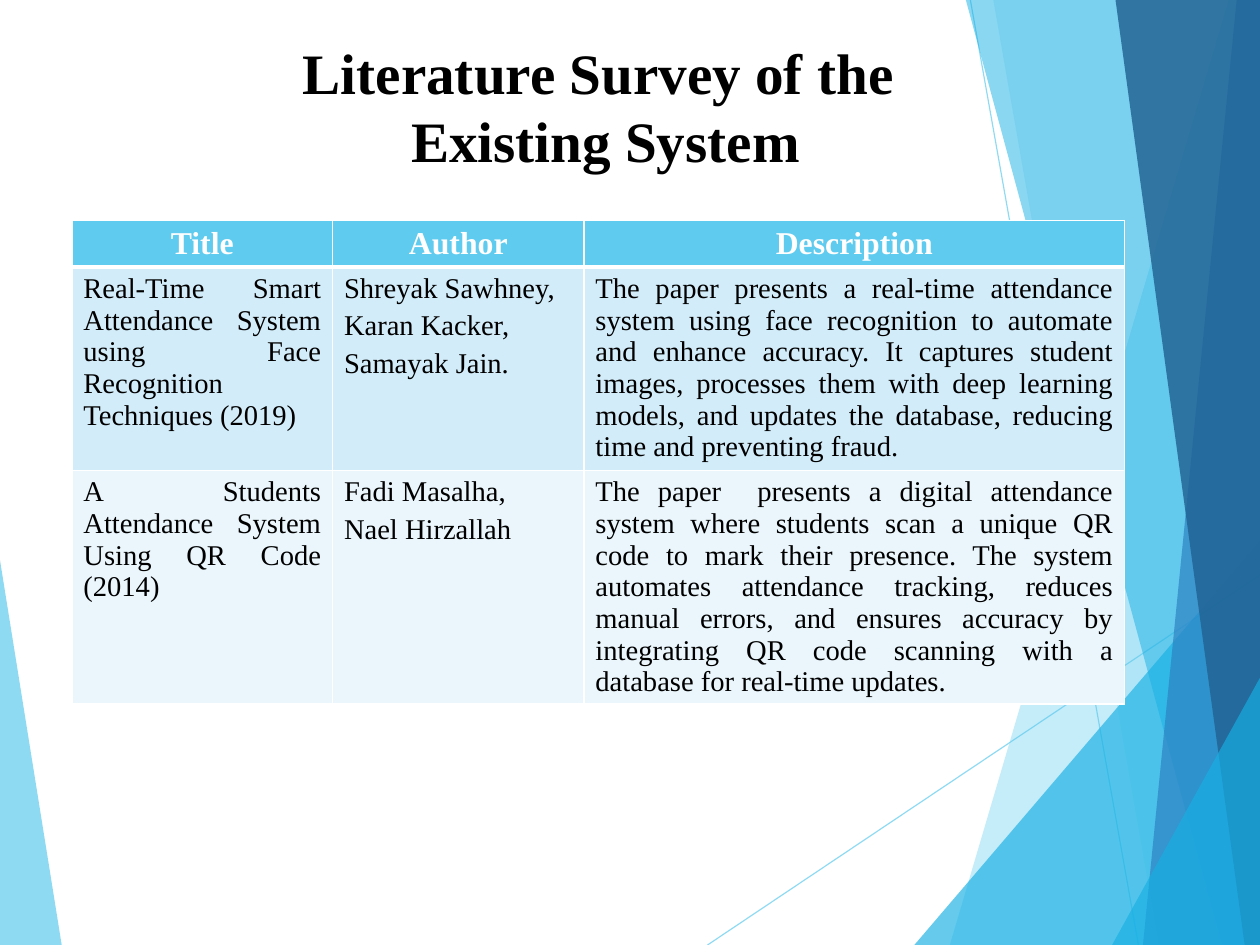
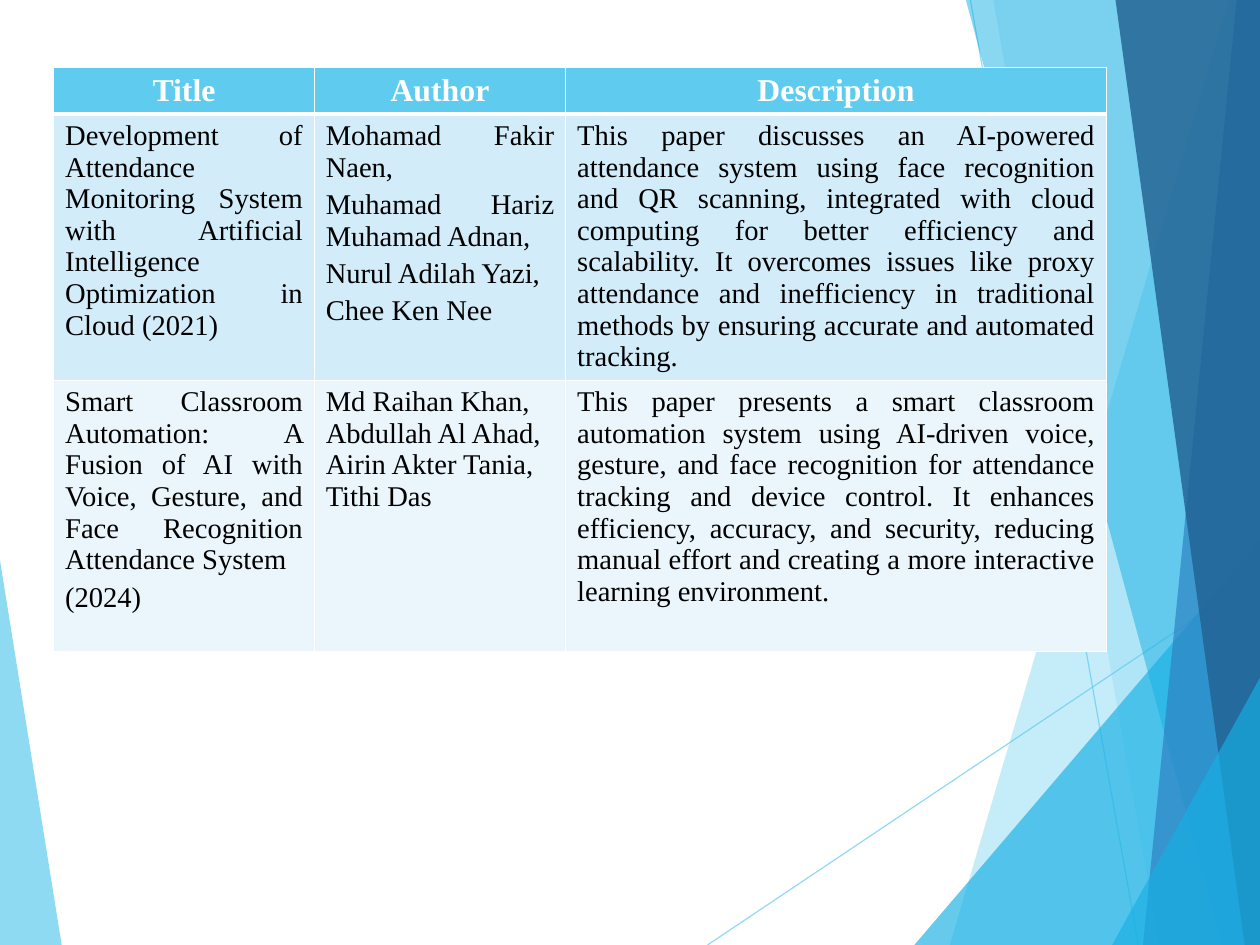
from pptx import Presentation
from pptx.dml.color import RGBColor
from pptx.enum.shapes import MSO_CONNECTOR
from pptx.enum.text import MSO_ANCHOR, PP_ALIGN
from pptx.oxml.ns import qn
from pptx.util import Inches, Pt
from lxml.etree import SubElement

CM_PER_INCH = 2.54
WIDTH, HEIGHT = 28 / CM_PER_INCH, 21 / CM_PER_INCH
FONT = "Times New Roman"
COLORS = {
    "sky": "5FCBEF",
    "cyan": "17B0E4",
    "blue": "2E83C3",
    "navy": "226292",
    "row_dark": "D2ECF9",
    "row_light": "EAF6FC",
    "white": "FFFFFF",
    "black": "000000",
}
RAYS = [((6.19, HEIGHT), (WIDTH, 5.03)), ((8.49, 0), (9.96, HEIGHT))]
LEFT_FACET = ("sky", 70, [(0, 4.9), (0.54, HEIGHT), (0, HEIGHT)])
RIGHT_FACETS = [
    ("sky", 36, [(10.75, 0), (8.31, HEIGHT), (WIDTH, HEIGHT), (WIDTH, 0)]),
    ("sky", 20, [(8.69, 0), (10.14, HEIGHT), (WIDTH, HEIGHT), (WIDTH, 0)]),
    ("cyan", 66, [(8, HEIGHT), (WIDTH, 4.73), (WIDTH, HEIGHT)]),
    ("cyan", 50, [(8.45, 0), (10.69, HEIGHT), (WIDTH, HEIGHT), (WIDTH, 0)]),
    ("blue", 70, [(10.82, 0), (10, HEIGHT), (WIDTH, HEIGHT), (WIDTH, 0)]),
    ("navy", 82, [(9.76, 0), (10.89, HEIGHT), (WIDTH, HEIGHT), (WIDTH, 0)]),
    ("cyan", 66, [(9.73, HEIGHT), (WIDTH, 5.93), (WIDTH, HEIGHT)]),
]
COLUMN_WIDTHS = [2.28, 2.2, 4.73]
HEADINGS = ["Title", "Author", "Description"]
EARLY_PAPERS = [
    [
        "Real-Time Smart Attendance System using Face Recognition Techniques (2019)",
        "Shreyak Sawhney,\nKaran Kacker,\nSamayak Jain.",
        "The paper presents a real-time attendance system using face recognition to "
        "automate and enhance accuracy. It captures student images, processes them with "
        "deep learning models, and updates the database, reducing time and preventing fraud.",
    ],
    [
        "A Students Attendance System Using QR Code (2014)",
        "Fadi Masalha,\nNael Hirzallah",
        "The paper  presents a digital attendance system where students scan a unique QR "
        "code to mark their presence. The system automates attendance tracking, reduces "
        "manual errors, and ensures accuracy by integrating QR code scanning with a "
        "database for real-time updates.",
    ],
]
RECENT_PAPERS = [
    [
        "Development of Attendance Monitoring System with Artificial Intelligence "
        "Optimization in Cloud (2021)",
        "Mohamad Fakir Naen,\nMuhamad Hariz Muhamad Adnan,\nNurul Adilah Yazi,\nChee Ken Nee",
        "This paper discusses an AI-powered attendance system using face recognition and "
        "QR scanning, integrated with cloud computing for better efficiency and "
        "scalability. It overcomes issues like proxy attendance and inefficiency in "
        "traditional methods by ensuring accurate and automated tracking.",
    ],
    [
        "Smart Classroom Automation: A Fusion of AI with Voice, Gesture, and Face "
        "Recognition Attendance System\n(2024)",
        "Md Raihan Khan,\nAbdullah Al Ahad,\nAirin Akter Tania,\nTithi Das",
        "This paper presents a smart classroom automation system using AI-driven voice, "
        "gesture, and face recognition for attendance tracking and device control. It "
        "enhances efficiency, accuracy, and security, reducing manual effort and creating "
        "a more interactive learning environment.",
    ],
]


def rgb(name):
    return RGBColor.from_string(COLORS[name])


def set_opacity(shape, percent):
    for color in shape.element.spPr.iter(qn("a:srgbClr")):
        SubElement(color, qn("a:alpha"), val=str(percent * 1000))


def add_facet(slide, color, opacity, corners):
    points = [(Inches(x), Inches(y)) for x, y in corners]
    outline = slide.shapes.build_freeform(*points[0])
    outline.add_line_segments(points[1:], close=True)
    facet = outline.convert_to_shape()
    facet.shadow.inherit = False
    facet.fill.solid()
    facet.fill.fore_color.rgb = rgb(color)
    facet.line.fill.background()
    set_opacity(facet, opacity)


def add_ray(slide, start, end):
    ends = [Inches(value) for value in (*start, *end)]
    ray = slide.shapes.add_connector(MSO_CONNECTOR.STRAIGHT, *ends)
    ray.line.color.rgb = rgb("sky")
    ray.line.width = Pt(0.75)
    set_opacity(ray, 70)
    SubElement(ray.element.spPr, qn("a:effectLst"))


def add_backdrop(slide):
    add_facet(slide, *LEFT_FACET)
    for start, end in RAYS:
        add_ray(slide, start, end)
    for facet in RIGHT_FACETS:
        add_facet(slide, *facet)


def style_paragraph(paragraph, size, color, bold, alignment):
    paragraph.alignment = alignment
    paragraph.font.name = FONT
    paragraph.font.size = Pt(size)
    paragraph.font.bold = bold
    paragraph.font.color.rgb = rgb(color)


def add_title(slide, text):
    title = slide.shapes.add_textbox(Inches(1.47), Inches(0.27), Inches(7.53), Inches(1.31))
    frame = title.text_frame
    frame.word_wrap = True
    frame.vertical_anchor = MSO_ANCHOR.MIDDLE
    frame.text = text
    for paragraph in frame.paragraphs:
        style_paragraph(paragraph, 36, "black", True, PP_ALIGN.CENTER)


def set_borders(cell, top, bottom):
    properties = cell._tc.get_or_add_tcPr()
    for index, (side, width) in enumerate(zip("LRTB", (1, 1, top, bottom))):
        border = SubElement(properties, qn(f"a:ln{side}"), w=str(Pt(width)))
        fill = SubElement(border, qn("a:solidFill"))
        SubElement(fill, qn("a:srgbClr"), val=COLORS["white"])
        properties.insert(index, border)


def fill_cell(cell, text, row, listed):
    cell.fill.solid()
    cell.fill.fore_color.rgb = rgb(("sky", "row_dark", "row_light")[row])
    set_borders(cell, top=3 if row == 1 else 1, bottom=3 if row == 0 else 1)
    cell.text = text
    for index, paragraph in enumerate(cell.text_frame.paragraphs):
        if row == 0:
            style_paragraph(paragraph, 20, "white", True, PP_ALIGN.CENTER)
        elif listed:
            style_paragraph(paragraph, 18, "black", False, PP_ALIGN.LEFT)
        else:
            style_paragraph(paragraph, 18, "black", False, PP_ALIGN.JUSTIFY)
            if index:
                paragraph.space_before = Pt(3.6)


def add_survey(slide, left, top, row_heights, papers, listed_cells=()):
    rows = [HEADINGS, *papers]
    survey = slide.shapes.add_table(
        len(rows), len(HEADINGS), Inches(left), Inches(top),
        Inches(sum(COLUMN_WIDTHS)), Inches(sum(row_heights)),
    ).table
    survey.horz_banding = False
    for column, width in zip(survey.columns, COLUMN_WIDTHS):
        column.width = Inches(width)
    for r, (texts, height) in enumerate(zip(rows, row_heights)):
        survey.rows[r].height = Inches(height)
        for c, text in enumerate(texts):
            fill_cell(survey.cell(r, c), text, r, (r, c) in listed_cells)


def add_slide(deck):
    slide = deck.slides.add_slide(deck.slide_layouts[6])
    add_backdrop(slide)
    return slide


def main():
    deck = Presentation()
    deck.slide_width, deck.slide_height = Inches(WIDTH), Inches(HEIGHT)

    early = add_slide(deck)
    add_survey(early, 0.63, 1.93, [0.39, 1.78, 2.04], EARLY_PAPERS)
    add_title(early, "Literature Survey of the\n Existing System")

    recent = add_slide(deck)
    add_survey(recent, 0.47, 0.59, [0.39, 2.33, 2.37], RECENT_PAPERS, listed_cells=[(2, 1)])

    deck.save("out.pptx")


if __name__ == "__main__":
    main()
